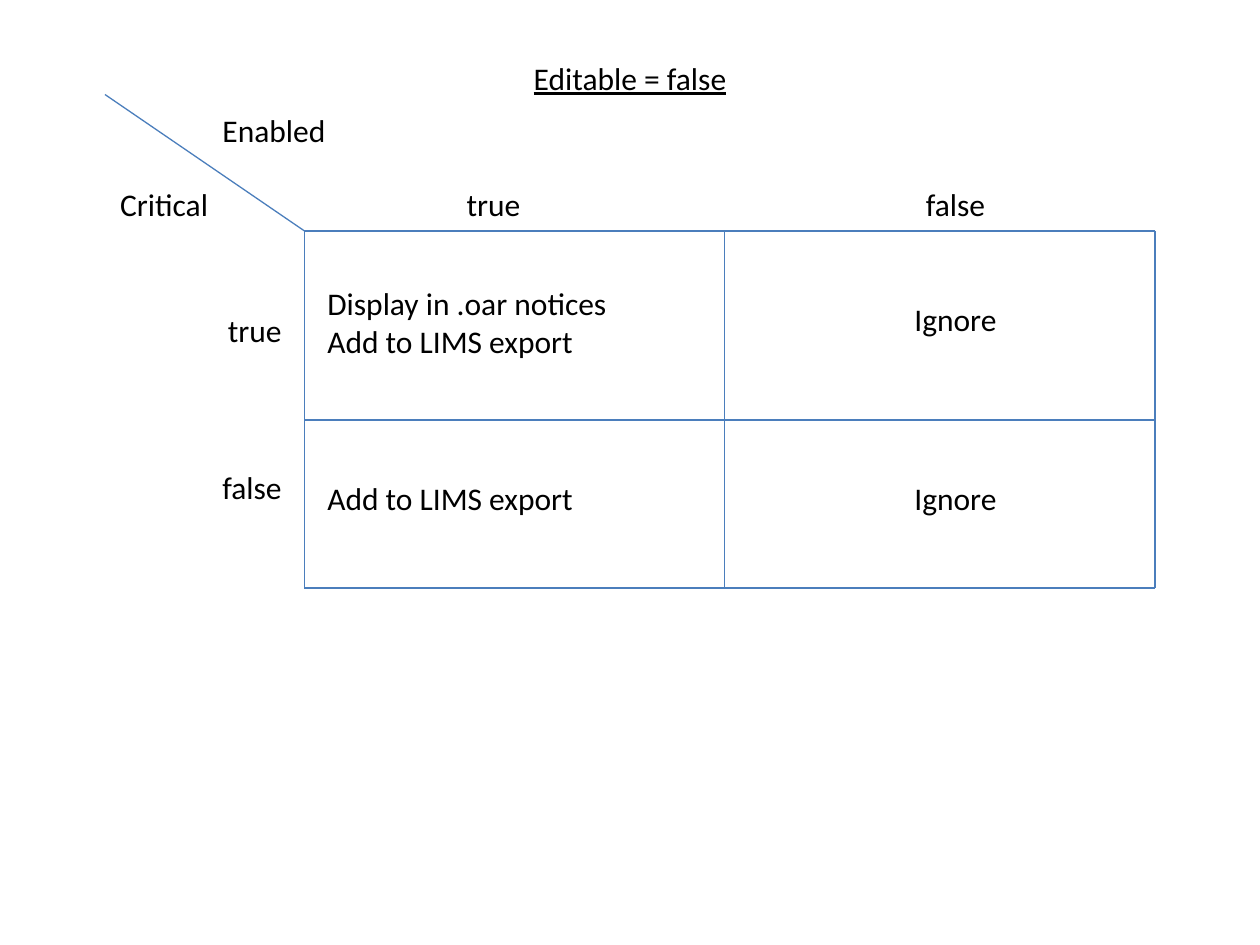
from dataclasses import dataclass

from lxml import etree
from pptx import Presentation
from pptx.dml.color import RGBColor
from pptx.enum.shapes import MSO_CONNECTOR
from pptx.enum.text import MSO_ANCHOR, MSO_AUTO_SIZE, PP_ALIGN as Align
from pptx.oxml.ns import qn
from pptx.shapes.autoshape import Shape
from pptx.slide import Slide
from pptx.util import Pt


@dataclass(frozen=True)
class Theme:
    font: str = "Calibri"
    text_size: float = 18
    line_width: float = 0.75
    text_color: RGBColor = RGBColor(0, 0, 0)
    line_color: RGBColor = RGBColor(0x4B, 0x7E, 0xBC)


@dataclass(frozen=True)
class Label:
    text: str
    left: float
    top: float
    width: float
    align: Align = Align.LEFT
    height: float = 29
    underline: bool = False


@dataclass(frozen=True)
class Rule:
    x1: float
    y1: float
    x2: float
    y2: float


THEME = Theme()


def fill_label(shape: Shape, label: Label) -> None:
    """Place a text shape and format its text."""
    shape.left, shape.top = Pt(label.left), Pt(label.top)
    shape.width, shape.height = Pt(label.width), Pt(label.height)
    frame = shape.text_frame
    frame.text = label.text
    frame.word_wrap = True
    frame.auto_size = MSO_AUTO_SIZE.SHAPE_TO_FIT_TEXT
    frame.vertical_anchor = MSO_ANCHOR.TOP
    for paragraph in frame.paragraphs:
        paragraph.alignment = label.align
        for run in paragraph.runs:
            run.font.name = THEME.font
            run.font.size = Pt(THEME.text_size)
            run.font.color.rgb = THEME.text_color
            run.font.underline = label.underline


def add_label(slide: Slide, label: Label) -> None:
    fill_label(slide.shapes.add_textbox(0, 0, 0, 0), label)


def add_rule(slide: Slide, rule: Rule) -> None:
    connector = slide.shapes.add_connector(
        MSO_CONNECTOR.STRAIGHT, Pt(rule.x1), Pt(rule.y1), Pt(rule.x2), Pt(rule.y2))
    connector.line.color.rgb = THEME.line_color
    connector.line.width = Pt(THEME.line_width)
    etree.SubElement(connector._element.spPr, qn("a:effectLst"))


# Matrix edges
COLUMN_EDGES = (174, 414, 660)
ROW_EDGES = (132, 240, 336)
LEFT, RIGHT = COLUMN_EDGES[0], COLUMN_EDGES[-1]
TOP, BOTTOM = ROW_EDGES[0], ROW_EDGES[-1]

rules = [
    *(Rule(LEFT, y, RIGHT, y) for y in ROW_EDGES),
    *(Rule(x, TOP, x, BOTTOM) for x in COLUMN_EDGES),
    Rule(60, 54, LEFT, TOP),
]

# Axis names, column and row headings, cell contents
labels = [
    Label("Critical", 30, 102, 96, Align.RIGHT),
    Label("Enabled", 120, 60, 96),
    *(Label(text, left, 102, 84, Align.CENTER)
      for text, left in (("true", 240), ("false", 504))),
    *(Label(text, 114, top, 54, Align.RIGHT)
      for text, top in (("true", 174), ("false", 264))),
    Label("Display in .oar notices\nAdd to LIMS export", 180, 159, 216, height=51),
    Label("Add to LIMS export", 180, 270, 216),
    *(Label("Ignore", 438, top, 216, Align.CENTER) for top in (168, 270)),
]

presentation = Presentation()
presentation.slide_width, presentation.slide_height = Pt(720), Pt(540)
title_only = presentation.slide_layouts.get_by_name("Title Only")
slide = presentation.slides.add_slide(title_only)

# Title
fill_label(slide.shapes.title,
           Label("Editable = false", 294, 30, 132, Align.CENTER, underline=True))

# Matrix
for rule in rules:
    add_rule(slide, rule)
for label in labels:
    add_label(slide, label)

presentation.save("out.pptx")
